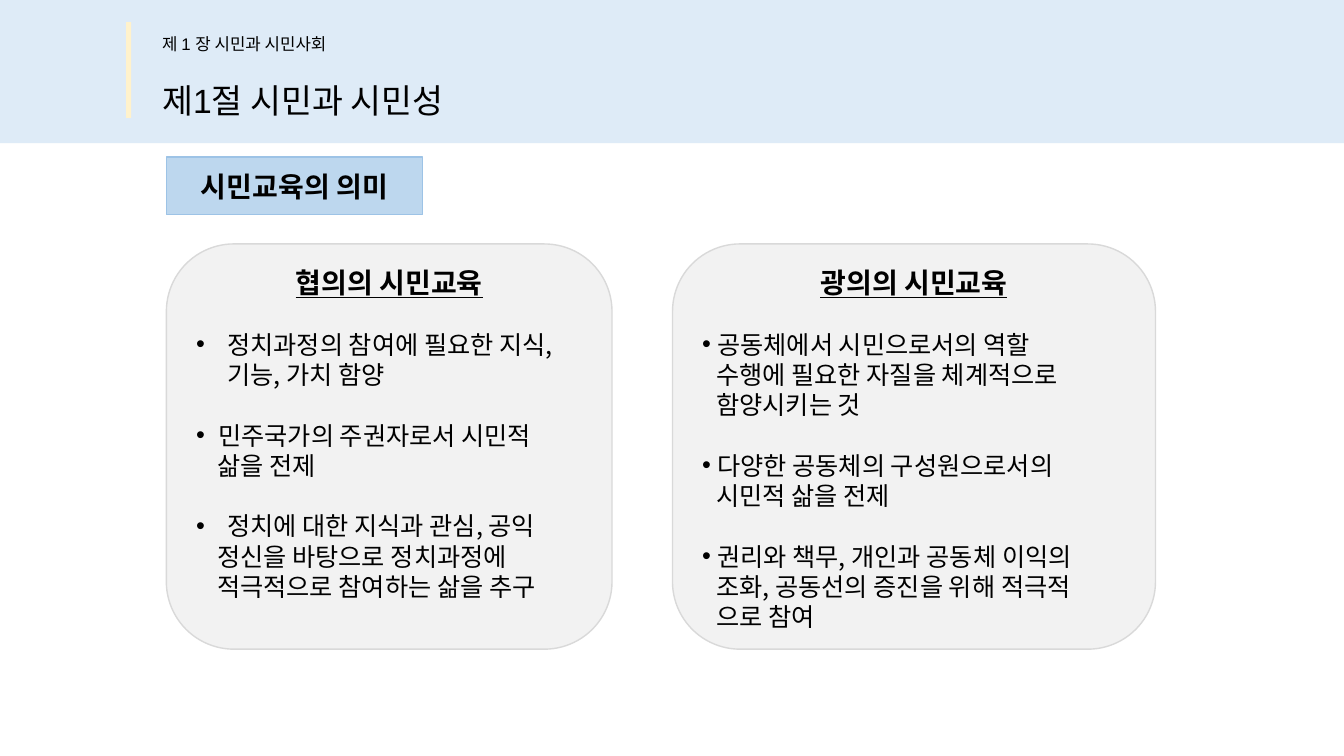
from dataclasses import dataclass

from lxml.etree import SubElement
from pptx import Presentation
from pptx.dml.color import RGBColor as Rgb
from pptx.enum.shapes import MSO_SHAPE as Kind
from pptx.enum.text import MSO_ANCHOR as Anchor, PP_ALIGN as Align
from pptx.oxml.ns import qn
from pptx.shapes.autoshape import Shape
from pptx.slide import Slide
from pptx.util import Inches, Pt

NOTO = "Noto Sans CJK KR"
PITCH = Pt(21.6)


@dataclass
class Line:
    text: str
    left: float
    dot: bool = False


@dataclass
class Card:
    left: float
    width: float
    title: str
    lines: list[Line]


CARDS = [
    Card(1.65, 4.42, "협의의 시민교육", [
        Line("정치과정의 참여에 필요한 지식, 기능, 가치 함양", 0.31, True),
        Line("민주국가의 주권자로서 시민적", 0.22, True),
        Line("삶을 전제", 0.21),
        Line("정치에 대한 지식과 관심, 공익", 0.31, True),
        Line("정신을 바탕으로 정치과정에", 0.21),
        Line("적극적으로 참여하는 삶을 추구", 0.21),
    ]),
    Card(6.67, 4.79, "광의의 시민교육", [
        Line("공동체에서 시민으로서의 역할", 0.15, True),
        Line("수행에 필요한 자질을 체계적으로", 0.14),
        Line("함양시키는 것", 0.14),
        Line("다양한 공동체의 구성원으로서의", 0.15, True),
        Line("시민적 삶을 전제", 0.14),
        Line("권리와 책무, 개인과 공동체 이익의", 0.15, True),
        Line("조화, 공동선의 증진을 위해 적극적", 0.14),
        Line("으로 참여", 0.14),
    ]),
]


def color(code: str) -> Rgb:
    return Rgb.from_string(code)


def style(para, size: float, face: str, bold: bool = False, under: bool = False) -> None:
    for run in para.runs:
        font = run.font
        font.size, font.name = Pt(size), face
        font.bold, font.underline = bold, under
        font.color.rgb = color("000000")
        SubElement(font._element, qn("a:ea")).set("typeface", NOTO)


def panel(slide: Slide, kind: Kind, box: tuple, fill: str, edge: str = "") -> Shape:
    shape = slide.shapes.add_shape(kind, *map(Inches, box))
    shape.shadow.inherit = False
    shape.fill.solid()
    shape.fill.fore_color.rgb = color(fill)
    if edge:
        shape.line.color.rgb = color(edge)
        shape.line.width = Pt(1)
    else:
        shape.line.fill.background()
    return shape


def label(slide: Slide, box: tuple, text: str, size: float) -> None:
    frame = slide.shapes.add_textbox(*map(Inches, box)).text_frame
    frame.word_wrap = True
    frame.text = text
    style(frame.paragraphs[0], size, "Arial")


def indent(para, line: Line) -> None:
    props = para._p.get_or_add_pPr()
    props.set("marL", str(Inches(line.left)))
    props.set("indent", str(-Inches(line.left) if line.dot else 0))
    if line.dot:
        SubElement(props, qn("a:buFont")).set("typeface", "Arial")
        SubElement(props, qn("a:buChar")).set("char", "•")
    else:
        SubElement(props, qn("a:buNone"))


def draw(slide: Slide, card: Card) -> None:
    box = (card.left, 2.42, card.width, 4.02)
    frame = panel(slide, Kind.ROUNDED_RECTANGLE, box, "F2F2F2", "D9D9D9").text_frame
    frame.word_wrap = True
    frame.vertical_anchor = Anchor.TOP
    head = frame.paragraphs[0]
    head.text = card.title
    head.alignment = Align.CENTER
    head.line_spacing = PITCH
    style(head, 20, "Arial", True, True)
    for line in card.lines:
        para = frame.add_paragraph()
        para.text = line.text
        indent(para, line)
        para.alignment = Align.LEFT
        para.line_spacing = PITCH
        para.space_before = PITCH if line.dot else Pt(0)
        style(para, 18, NOTO)


def main() -> None:
    deck = Presentation()
    deck.slide_width, deck.slide_height = Inches(13.33), Inches(7.5)
    slide = deck.slides.add_slide(deck.slide_layouts[6])
    panel(slide, Kind.RECTANGLE, (0, 0, 13.33, 1.42), "DEEBF7")
    label(slide, (1.51, 0.29, 2.05, 0.3), "제 1 장 시민과 시민사회", 12)
    label(slide, (1.51, 0.74, 3.32, 0.5), "제1절 시민과 시민성", 24)
    badge = panel(slide, Kind.RECTANGLE, (1.65, 1.56, 2.54, 0.57), "BDD7EE", "9DC3E6")
    badge.text_frame.text = "시민교육의 의미"
    badge.text_frame.vertical_anchor = Anchor.MIDDLE
    topic = badge.text_frame.paragraphs[0]
    topic.alignment = Align.CENTER
    style(topic, 20, NOTO, True)
    for card in CARDS:
        draw(slide, card)
    panel(slide, Kind.RECTANGLE, (1.25, 0.22, 0.05, 0.95), "FFF2CC")
    deck.save("out.pptx")


if __name__ == "__main__":
    main()
